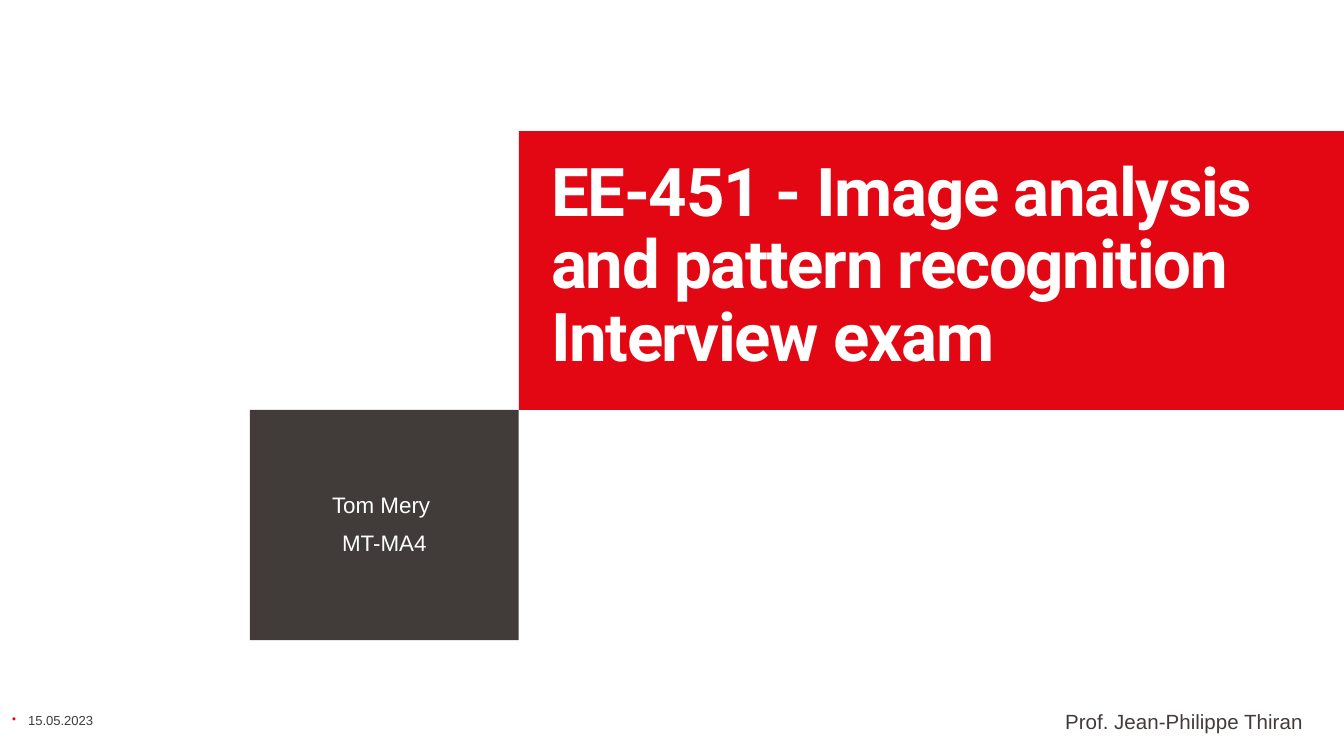
import pptx
import pptx.util
import pptx.dml.color
import pptx.enum.text
import pptx.oxml.ns
import lxml.etree

Pt = pptx.util.Pt
Align = pptx.enum.text.PP_ALIGN
Anchor = pptx.enum.text.MSO_ANCHOR
qn = pptx.oxml.ns.qn

# Content
TITLE = ["EE-451 - Image analysis and pattern recognition\vInterview exam"]
AUTHOR = ["Tom Mery ", "MT-MA4"]
PROF = ["Prof. Jean-Philippe Thiran"]
DATE = ["15.05.2023"]

COLORS = {"red": "E30613", "dark": "413C3A", "white": "FFFFFF"}
WIDE, HIGH = 720, 405
PAD = (7.2, 3.6, 7.2, 3.6)

# Title and author blocks meet at one corner
EDGE, FLOOR = 277.9, 219.6
TOP, LEFT, BASE = 70.2, 133.9, 343


def color(name):
    return pptx.dml.color.RGBColor.from_string(COLORS[name])


def place(box, left, top, width, height, fill=None):
    box.left, box.top = Pt(left), Pt(top)
    box.width, box.height = Pt(width), Pt(height)
    if fill:
        box.fill.solid()
        box.fill.fore_color.rgb = color(fill)


def bullet(par, tint):
    props = par._p.get_or_add_pPr()
    props.set("marL", str(Pt(8.6)))
    props.set("indent", str(-Pt(8.6)))
    paint = lxml.etree.SubElement(props, qn("a:buClr"))
    lxml.etree.SubElement(paint, qn("a:srgbClr"), val=COLORS[tint])
    lxml.etree.SubElement(props, qn("a:buSzPct"), val="90000")
    lxml.etree.SubElement(props, qn("a:buChar"), char="•")


def write(box, lines, size, tint, align=Align.CENTER, anchor=Anchor.MIDDLE,
          pad=PAD, face="Arial", bold=False, mark=None):
    frame = box.text_frame
    frame.word_wrap = True
    frame.auto_size = pptx.enum.text.MSO_AUTO_SIZE.NONE
    frame.vertical_anchor = anchor
    (frame.margin_left, frame.margin_top,
     frame.margin_right, frame.margin_bottom) = map(Pt, pad)
    frame.text = "\n".join(lines)
    for num, par in enumerate(frame.paragraphs):
        if mark:
            bullet(par, mark)
        par.alignment = align
        par.line_spacing = 0.9
        par.space_before = Pt(7.5 if num else 0)
        font = par.font
        font.name, font.size, font.bold = face, Pt(size), bold
        font.color.rgb = color(tint)


deck = pptx.Presentation()
deck.slide_width, deck.slide_height = Pt(WIDE), Pt(HIGH)
slide = deck.slides.add_slide(deck.slide_layouts[5])


def add(left, top, width, height, fill=None):
    box = slide.shapes.add_textbox(0, 0, 0, 0)
    place(box, left, top, width, height, fill)
    return box


# Title block, with tight letter spacing
title = slide.shapes.title
place(title, EDGE, TOP, WIDE - EDGE, FLOOR - TOP, "red")
write(title, TITLE, 36, "white", align=Align.LEFT,
      pad=(17.3, 0, 5.8, 3.6), face="Roboto", bold=True)
for par in title.text_frame.paragraphs:
    par._p.pPr.find(qn("a:defRPr")).set("spc", "-70")

# Author block
author = add(LEFT, FLOOR, EDGE - LEFT, BASE - FLOOR, "dark")
write(author, AUTHOR, 12, "white")

# Professor, bottom right
prof = add(WIDE - 171.4, HIGH - 36, 171.4, 36, "white")
write(prof, PROF, 11, "dark")

# Date, bottom left
date = add(6.5, 350, 54.7, 40.3)
write(date, DATE, 7, "dark", align=Align.LEFT, anchor=Anchor.BOTTOM,
      pad=(0, 0, 0, 0), mark="red")

deck.save("out.pptx")
